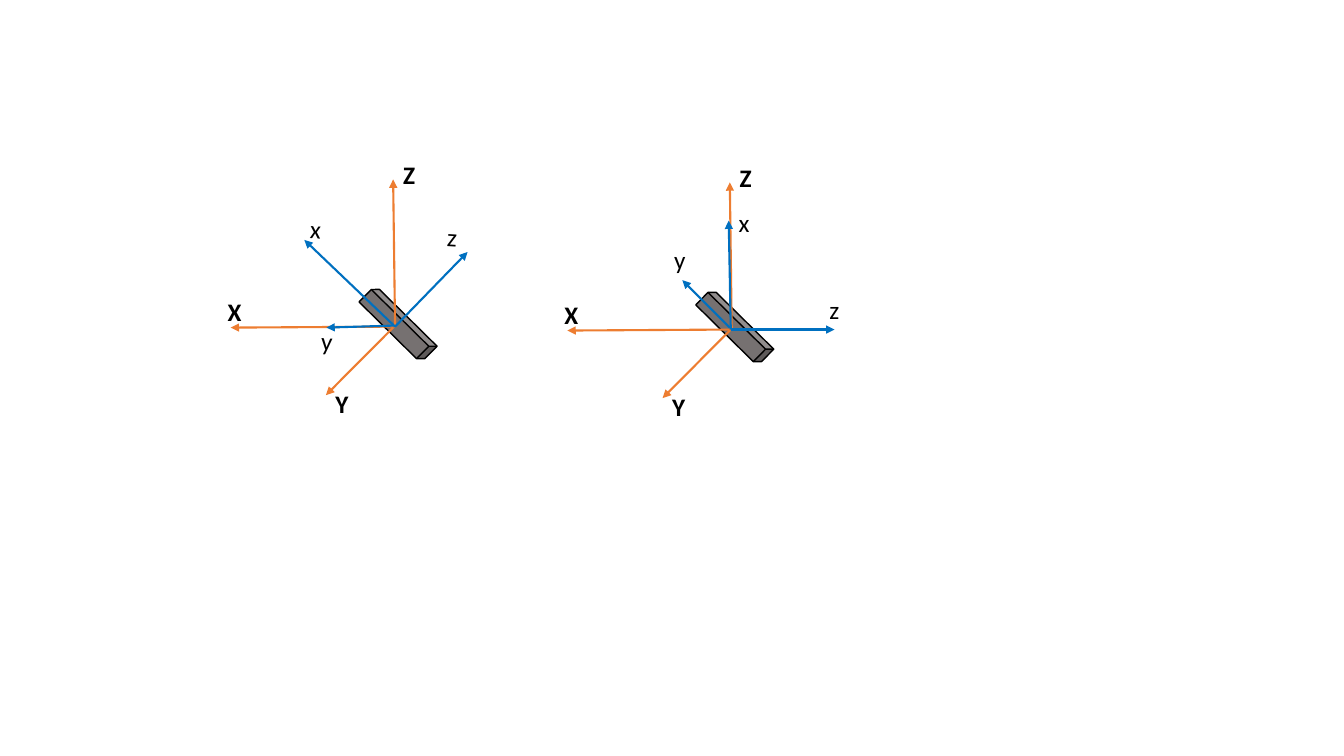
from dataclasses import dataclass

from lxml.etree import SubElement
from pptx import Presentation
from pptx.dml.color import RGBColor
from pptx.enum.shapes import MSO_CONNECTOR, MSO_SHAPE
from pptx.oxml.ns import qn
from pptx.shapes.group import GroupShape
from pptx.slide import Slide
from pptx.util import Pt

COLORS = {"world": "ED7D31", "body": "0070C0", "sensor": "767171", "ink": "000000"}
Point = tuple[float, float]


@dataclass(frozen=True)
class Axis:
    """An arrow and its label box, both relative to the frame origin."""

    name: str
    start: Point
    end: Point
    label: Point


@dataclass(frozen=True)
class Figure:
    """A sensor with its origin and its own body axes."""

    origin: Point
    body_axes: tuple[Axis, ...]
    label_tilt: float


WORLD_AXES = (
    Axis("X", (0, 0), (-117.4, 0.7), (-126.7, -25.2)),
    Axis("Z", (0, 0), (-1.4, -105.1), (-1.4, -123.1)),
    Axis("Y", (-1.4, 0.7), (-49.4, 49), (-49.7, 40.3)),
)
FIGURES = (
    Figure((282.2, 233.3), (
        Axis("x", (0, 0), (-64.8, -61.9), (-67.7, -84.2)),
        Axis("z", (0, 0), (51.8, -53.3), (30.2, -78.5)),
        Axis("y", (-1.4, -0.7), (-49, 0.7), (-59.8, -4.3)),
    ), 3.5),
    Figure((522.7, 235.4), (
        Axis("x", (-0.7, 0), (-2.2, -77.8), (-2.2, -90.7)),
        Axis("z", (-0.7, 0), (73.4, 0), (62.6, -28.8)),
        Axis("y", (-1.4, -1.4), (-35.3, -35.3), (-48.2, -64.1)),
    ), 0),
)


def shift(origin: Point, offset: Point) -> tuple[Pt, Pt]:
    """Return the slide position of an offset from an origin."""
    return Pt(origin[0] + offset[0]), Pt(origin[1] + offset[1])


def draw_sensor(page: Slide, origin: Point) -> None:
    """Draw the tilted sensor bar."""
    sensor = page.shapes.add_shape(
        MSO_SHAPE.CUBE, *shift(origin, (-28.8, -10.1)), Pt(61.9), Pt(16.6))
    sensor.rotation = 44.6
    sensor.shadow.inherit = False
    sensor.fill.solid()
    sensor.fill.fore_color.rgb = RGBColor.from_string(COLORS["sensor"])
    sensor.line.color.rgb = RGBColor.from_string(COLORS["ink"])
    sensor.line.width = Pt(1)


def draw_arrow(group: GroupShape, origin: Point, axis: Axis, color: str) -> None:
    """Draw the arrow of one axis."""
    arrow = group.shapes.add_connector(
        MSO_CONNECTOR.STRAIGHT, *shift(origin, axis.start), *shift(origin, axis.end))
    arrow.line.color.rgb = RGBColor.from_string(COLORS[color])
    arrow.line.width = Pt(1.5)
    properties = arrow.element.spPr
    SubElement(properties.find(qn("a:ln")), qn("a:tailEnd"), type="triangle")
    SubElement(properties, qn("a:effectLst"))


def draw_label(group: GroupShape, origin: Point, axis: Axis, bold: bool, tilt: float) -> None:
    """Write the name of one axis."""
    box = group.shapes.add_textbox(*shift(origin, axis.label), Pt(23), Pt(29))
    box.rotation = tilt
    box.text_frame.word_wrap = True
    para = box.text_frame.paragraphs[0]
    para.text = axis.name
    para.font.name = "Calibri"
    para.font.size = Pt(18)
    para.font.bold = bold
    para.font.color.rgb = RGBColor.from_string(COLORS["ink"])


def draw_frame(page: Slide, origin: Point, axes: tuple[Axis, ...], color: str,
               bold: bool = False, tilt: float = 0) -> None:
    """Draw a group of arrows followed by their labels."""
    group = page.shapes.add_group_shape()
    for axis in axes:
        draw_arrow(group, origin, axis, color)
    for axis in axes:
        draw_label(group, origin, axis, bold, tilt)


def main() -> None:
    """Build the slide with both sensor orientations."""
    deck = Presentation()
    deck.slide_width, deck.slide_height = Pt(960), Pt(540)
    page = deck.slides.add_slide(deck.slide_layouts[6])
    for figure in FIGURES:
        draw_sensor(page, figure.origin)
        draw_frame(page, figure.origin, WORLD_AXES, "world", bold=True)
        draw_frame(page, figure.origin, figure.body_axes, "body", tilt=figure.label_tilt)
    deck.save("out.pptx")


if __name__ == "__main__":
    main()
